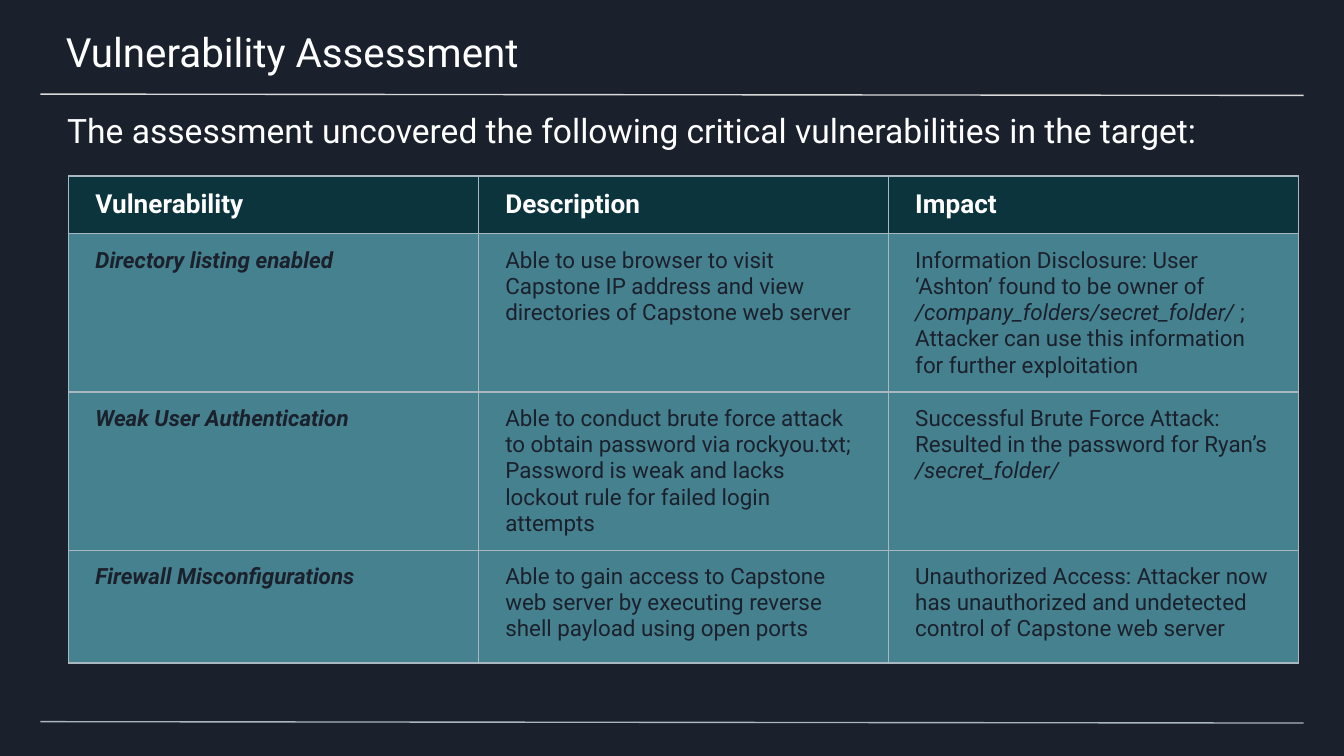
from lxml import etree
from pptx import Presentation
from pptx.dml.color import RGBColor
from pptx.enum import shapes, text
from pptx.oxml.ns import qn
from pptx.util import Inches, Pt

FONT = "Roboto"
WHITE, DARK, RULE, GRID = "FFFFFF", "1B212C", "D9D9D9", "A9B7C0"
HEADER_FILL, BODY_FILL = "0C343D", "45818E"
COL_WIDTH = 3.05
ROW_HEIGHTS = [0.43, 1.1, 1.08, 0.84]

# A cell is a list of runs; every second run is in italics.
HEADER = ["Vulnerability", "Description", "Impact"]
FINDINGS = [
    (["Directory listing enabled"],
     ["Able to use browser to visit Capstone IP address and view "
      "directories of Capstone web server"],
     ["Information Disclosure: User ‘Ashton’ found to be owner of ",
      "/company_folders/secret_folder/ ",
      "; Attacker can use this information for further exploitation"]),
    (["Weak User Authentication"],
     ["Able to conduct brute force attack to obtain password via rockyou.txt; "
      "Password is weak and lacks lockout rule for failed login attempts"],
     ["Successful Brute Force Attack: Resulted in the password for Ryan’s ",
      "/secret_folder/"]),
    (["Firewall Misconfigurations"],
     ["Able to gain access to Capstone web server by executing reverse "
      "shell payload using open ports"],
     ["Unauthorized Access: Attacker now has unauthorized and undetected "
      "control of Capstone web server"]),
]


def rgb(value):
    return RGBColor.from_string(value)


def set_font(font, size, color, bold=False):
    font.name, font.size, font.bold = FONT, Pt(size), bold
    font.color.rgb = rgb(color)


def set_margins(box, left, top, right, bottom):
    box.margin_left, box.margin_top = Inches(left), Inches(top)
    box.margin_right, box.margin_bottom = Inches(right), Inches(bottom)


def fill_placeholder(sp, place, margins, words, size):
    sp.left, sp.top, sp.width, sp.height = map(Inches, place)
    tf = sp.text_frame
    tf.text = words
    tf.word_wrap = True
    tf.auto_size = text.MSO_AUTO_SIZE.NONE
    tf.vertical_anchor = text.MSO_ANCHOR.TOP
    set_margins(tf, *margins)
    p = tf.paragraphs[0]
    p.alignment = text.PP_ALIGN.LEFT
    p.space_before = Pt(0)
    set_font(p.font, size, WHITE)
    return p


def add_rule(s, y, color):
    line = s.shapes.add_connector(shapes.MSO_CONNECTOR.STRAIGHT, Inches(0.3),
                                  Inches(y), Inches(9.7), Inches(y + 0.01))
    line.line.color.rgb = rgb(color)
    line.line.width = Pt(0.75)
    etree.SubElement(line._element.spPr, qn("a:effectLst"))


def set_borders(cell):
    """Put a thin line on all four sides, ahead of the cell's fill."""
    tc_pr = cell._tc.get_or_add_tcPr()
    for i, side in enumerate(("lnL", "lnR", "lnT", "lnB")):
        ln = etree.Element(qn(f"a:{side}"), w=str(Pt(0.75)))
        fill = etree.SubElement(ln, qn("a:solidFill"))
        etree.SubElement(fill, qn("a:srgbClr"), val=GRID)
        tc_pr.insert(i, ln)


def fill_cell(cell, runs, fill, size, color, bold=False, italic_first=False):
    cell.fill.solid()
    cell.fill.fore_color.rgb = rgb(fill)
    set_borders(cell)
    set_margins(cell, 0.2, 0.1, 0.2, 0.1)
    p = cell.text_frame.paragraphs[0]
    set_font(p.font, size, color, bold)
    for i, words in enumerate(runs):
        r = p.add_run()
        r.text = words
        r.font.italic = italic_first or i % 2 == 1


def add_findings(s):
    table = s.shapes.add_table(len(ROW_HEIGHTS), len(HEADER), Inches(0.51), Inches(1.31),
                               Inches(COL_WIDTH * len(HEADER)),
                               Inches(sum(ROW_HEIGHTS))).table
    for col in table.columns:
        col.width = Inches(COL_WIDTH)
    for row, height in zip(table.rows, ROW_HEIGHTS):
        row.height = Inches(height)
    for c, words in enumerate(HEADER):
        cell = table.cell(0, c)
        fill_cell(cell, [words], HEADER_FILL, 14, WHITE, bold=True)
        cell.vertical_anchor = text.MSO_ANCHOR.MIDDLE
    for r, finding in enumerate(FINDINGS, 1):
        for c, runs in enumerate(finding):
            fill_cell(table.cell(r, c), runs, BODY_FILL, 12, DARK,
                      bold=c == 0, italic_first=c == 0)


def main():
    prs = Presentation()
    prs.slide_width = Inches(10)
    prs.slide_height = prs.slide_width * 9 // 16
    s = prs.slides.add_slide(prs.slide_layouts[0])
    s.background.fill.solid()
    s.background.fill.fore_color.rgb = rgb(DARK)

    add_rule(s, 0.7, RULE)
    add_rule(s, 5.37, GRID)
    fill_placeholder(s.shapes.title, (-0.01, 0, 10.03, 0.58), (0.5, 0.2, 0.3, 0.1),
                     "Vulnerability Assessment", 21.6)
    p = fill_placeholder(
        s.placeholders[1], (0, 0.74, 10, 0.4), (0.5, 0.1, 0.5, 0),
        "The assessment uncovered the following critical vulnerabilities in the target:", 18)
    p.line_spacing = 0.95
    p.space_after = Pt(12)
    add_findings(s)
    prs.save("out.pptx")


if __name__ == "__main__":
    main()
